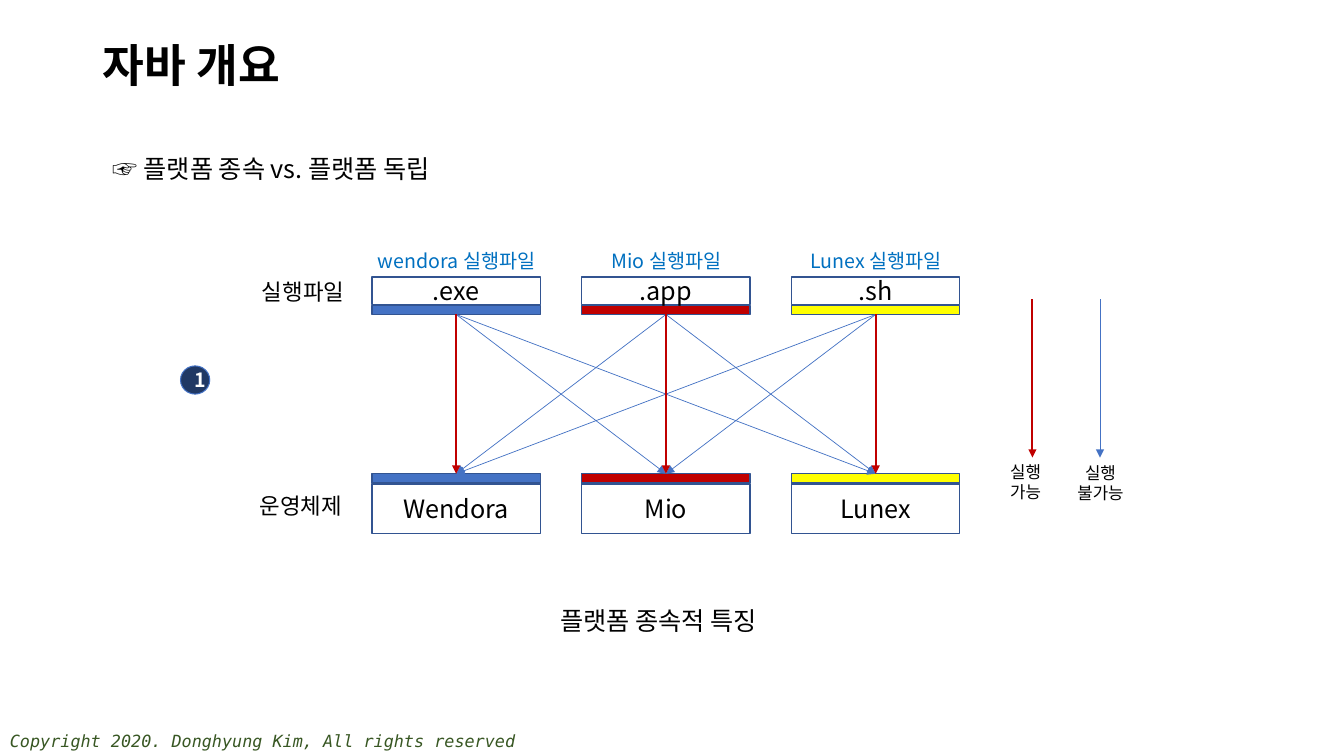
import pptx
import pptx.util
import pptx.dml.color
import pptx.enum.shapes
import pptx.enum.text
import pptx.oxml
import pptx.oxml.ns
from dataclasses import dataclass

Inches, Pt = pptx.util.Inches, pptx.util.Pt
SHAPE = pptx.enum.shapes.MSO_SHAPE
ALIGN = pptx.enum.text.PP_ALIGN
ANCHOR = pptx.enum.text.MSO_ANCHOR
qn = pptx.oxml.ns.qn

COLORS = {
    "black": "000000", "white": "FFFFFF", "blue": "4472C4", "red": "C00000",
    "yellow": "FFFF00", "border": "325491", "label": "0070C0",
    "badge": "203864", "footer": "385723",
}
FONT, MONO = "Noto Sans CJK KR", "DejaVu Sans Mono"


@dataclass
class Platform:
    label: str
    file: str
    system: str
    color: str


@dataclass
class Note:
    text: str
    left: float
    top: float
    width: float
    height: float
    size: float
    color: str = "black"
    align: ALIGN = ALIGN.LEFT
    font: str = FONT
    italic: bool = False


@dataclass
class Key:
    x: float
    arrow_color: str
    weight: float
    note: Note


PLATFORMS = [
    Platform("wendora 실행파일", ".exe", "Wendora", "blue"),
    Platform("Mio 실행파일", ".app", "Mio", "red"),
    Platform("Lunex 실행파일", ".sh", "Lunex", "yellow"),
]
NOTES = [
    Note("Copyright 2020. Donghyung Kim, All rights reserved",
         0, 7.2, 7.19, 0.3, 12, "footer", font=MONO, italic=True),
    Note("☞ 플랫폼 종속 vs. 플랫폼 독립", 1.02, 1.47, 3.75, 0.4, 18),
    Note("실행파일", 2.5, 2.71, 1.03, 0.37, 16),
    Note("운영체제", 2.48, 4.83, 1.03, 0.37, 16),
    Note("플랫폼 종속적 특징", 5.46, 5.96, 2.4, 0.4, 18),
]
KEYS = [
    Key(10.24, "red", 1.5, Note("실행\n가능", 9.92, 4.53, 0.54, 0.5, 12)),
    Key(10.91, "blue", 0.5,
        Note("실행\n불가능", 10.56, 4.54, 0.71, 0.5, 12, align=ALIGN.CENTER)),
]

# Column grid and the levels of the two rows
LEFT, PITCH, BOX_W, BAR_H = 3.69, 2.08, 1.67, 0.09
FILE_Y, FILE_H, FILE_BAR_Y = 2.75, 0.27, 3.03
SYSTEM_Y, SYSTEM_H, SYSTEM_BAR_Y = 4.8, 0.49, 4.7
ARROW_TOP, ARROW_BOTTOM = 3.12, 4.7
KEY_TOP, KEY_BOTTOM = 2.97, 4.54


def rgb(name: str) -> pptx.dml.color.RGBColor:
    return pptx.dml.color.RGBColor.from_string(COLORS[name])


def style_text(tf, size: float, color: str = "black", align=ALIGN.LEFT,
               font: str = FONT, bold: bool = False, italic: bool = False) -> None:
    for p in tf.paragraphs:
        p.alignment = align
        f = p.font
        f.name, f.size, f.bold, f.italic = font, Pt(size), bold, italic
        f.color.rgb = rgb(color)
        # East Asian glyphs take their own typeface element
        p.runs[0].font.name = font
        for props in (f._element, p.runs[0].font._element):
            ea = pptx.oxml.parse_xml(
                f'<a:ea {pptx.oxml.ns.nsdecls("a")} typeface="{font}"/>')
            props.find(qn("a:latin")).addnext(ea)


def add_note(slide, note: Note) -> None:
    sp = slide.shapes.add_textbox(Inches(note.left), Inches(note.top),
                                  Inches(note.width), Inches(note.height))
    tf = sp.text_frame
    tf.text = note.text
    tf.word_wrap = False
    style_text(tf, note.size, note.color, note.align, note.font,
               italic=note.italic)


def add_block(slide, kind, left: float, top: float, width: float, height: float,
              fill: str = "", line: str = "border", weight: float = 1):
    sp = slide.shapes.add_shape(kind, Inches(left), Inches(top),
                                Inches(width), Inches(height))
    sp.shadow.inherit = False
    if fill:
        sp.fill.solid()
        sp.fill.fore_color.rgb = rgb(fill)
    else:
        sp.fill.background()
    sp.line.color.rgb = rgb(line)
    sp.line.width = Pt(weight)
    sp.text_frame.vertical_anchor = ANCHOR.MIDDLE
    return sp


def add_box(slide, text: str, left: float, top: float, height: float) -> None:
    sp = add_block(slide, SHAPE.RECTANGLE, left, top, BOX_W, height)
    sp.text_frame.text = text
    style_text(sp.text_frame, 18, align=ALIGN.CENTER)


def add_arrow(slide, x1: float, y1: float, x2: float, y2: float,
              color: str, weight: float) -> None:
    line = slide.shapes.add_connector(
        pptx.enum.shapes.MSO_CONNECTOR.STRAIGHT,
        Inches(x1), Inches(y1), Inches(x2), Inches(y2))
    line.line.color.rgb = rgb(color)
    line.line.width = Pt(weight)
    ns = pptx.oxml.ns.nsdecls("a")
    line.line._get_or_add_ln().append(
        pptx.oxml.parse_xml(f'<a:tailEnd {ns} type="triangle"/>'))
    line._element.spPr.append(pptx.oxml.parse_xml(f"<a:effectLst {ns}/>"))


def main() -> None:
    prs = pptx.Presentation()
    prs.slide_width, prs.slide_height = Inches(13.33), Inches(7.5)
    slide = prs.slides.add_slide(prs.slide_layouts[5])

    # Title
    title = slide.shapes.title
    title.left, title.top = Inches(0.92), Inches(0.4)
    title.width, title.height = Inches(11.5), Inches(0.54)
    tf = title.text_frame
    tf.text = "자바 개요"
    tf.vertical_anchor = ANCHOR.MIDDLE
    tf.auto_size = pptx.enum.text.MSO_AUTO_SIZE.NONE
    tf.paragraphs[0].line_spacing = 0.9
    style_text(tf, 32.4, bold=True)

    # Captions and footer
    for note in NOTES:
        add_note(slide, note)

    # Executable files above, operating systems below
    lefts = [LEFT + PITCH * i for i in range(len(PLATFORMS))]
    for left, platform in zip(lefts, PLATFORMS):
        for bar_y in (FILE_BAR_Y, SYSTEM_BAR_Y):
            add_block(slide, SHAPE.RECTANGLE, left, bar_y, BOX_W, BAR_H,
                      platform.color)
        add_box(slide, platform.file, left, FILE_Y, FILE_H)
        add_box(slide, platform.system, left, SYSTEM_Y, SYSTEM_H)
        add_note(slide, Note(platform.label, left - 0.11, 2.42, 1.9, 0.34, 14,
                             "label", ALIGN.CENTER))

    # Thin arrows to foreign systems, then thick ones to the matching system
    centers = [left + BOX_W / 2 for left in lefts]
    pairs = [(a, b) for a in centers for b in centers]
    for a, b in sorted(pairs, key=lambda pair: pair[0] == pair[1]):
        color, weight = ("red", 1.5) if a == b else ("blue", 0.5)
        add_arrow(slide, a, ARROW_TOP, b, ARROW_BOTTOM, color, weight)

    # Legend
    for key in KEYS:
        add_arrow(slide, key.x, KEY_TOP, key.x, KEY_BOTTOM,
                  key.arrow_color, key.weight)
        add_note(slide, key.note)

    # Number badge
    badge = add_block(slide, SHAPE.OVAL, 1.79, 3.63, 0.29, 0.28,
                      "badge", "blue", 0.75)
    badge.text_frame.text = "1"
    style_text(badge.text_frame, 14, "white", ALIGN.CENTER, bold=True)

    prs.save("out.pptx")


if __name__ == "__main__":
    main()
